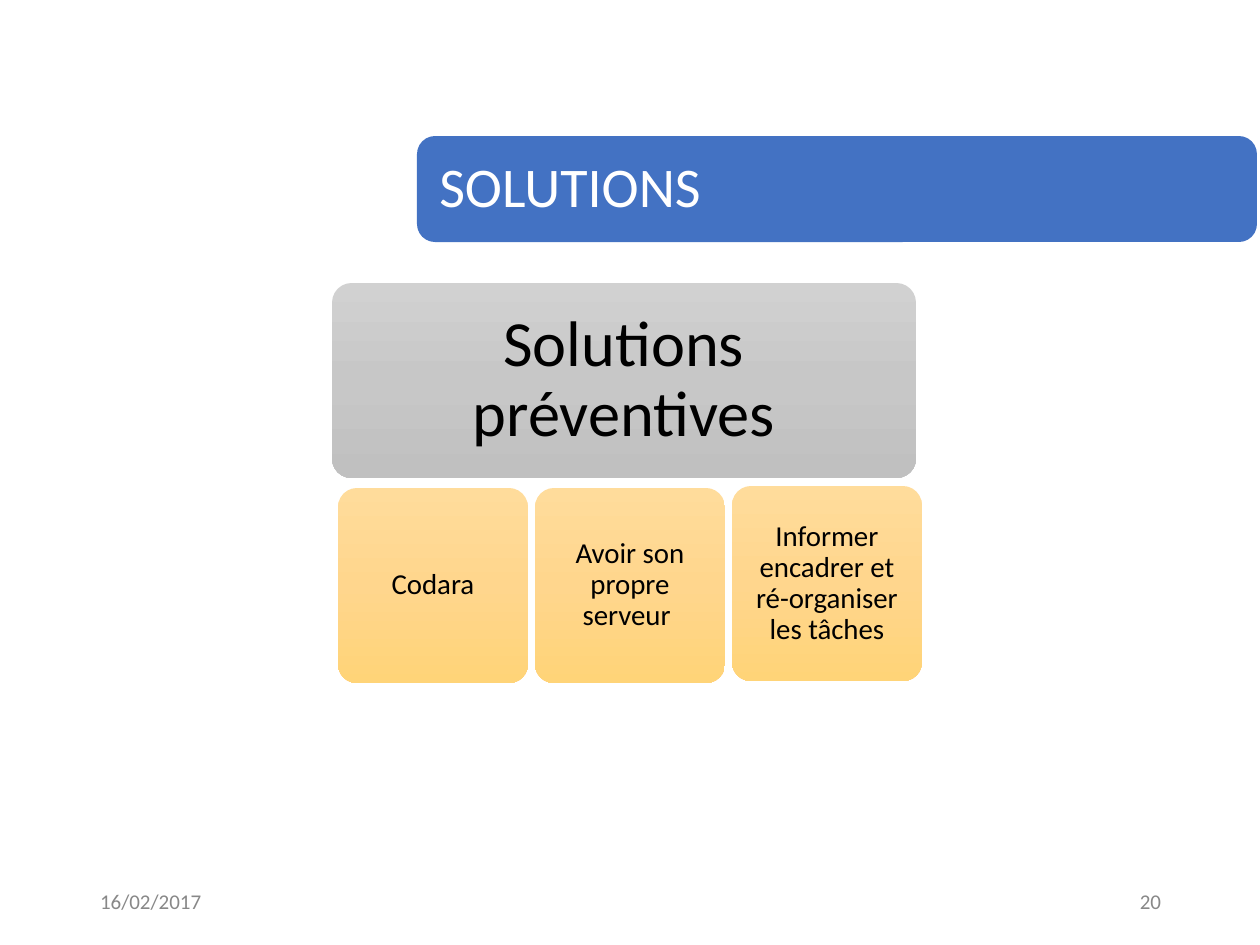
from copy import deepcopy
from dataclasses import dataclass

from pptx import Presentation
from pptx.dml.color import RGBColor
from pptx.enum.shapes import MSO_SHAPE as Shape
from pptx.enum.text import MSO_ANCHOR as Anchor, PP_ALIGN as Align
from pptx.oxml.ns import qn
from pptx.util import Emu, Pt

EMU_PER_PX = 914400 / 126
FONT = "Calibri"
COLORS = {
    "banner": "4372C3",
    "banner_text": "FFFFFF",
    "block_text": "000000",
    "footer_text": "888888",
}
GRAY_GRADIENT = ("D1D1D1", "C7C7C7", "C0C0C0")
AMBER_GRADIENT = ("FFDC9B", "FFD68D", "FFD478")


@dataclass(frozen=True)
class Label:
    text: str
    size: float
    color: str
    align: Align
    inset_x: int
    inset_y: int
    line_spacing: float = 1.0


@dataclass(frozen=True)
class Block:
    left: int
    top: int
    width: int
    height: int
    corner: float
    fill: tuple[str, ...]
    label: Label


def px(length: int) -> Emu:
    return Emu(round(length * EMU_PER_PX))


def write_label(text_frame, label: Label) -> None:
    text_frame.word_wrap = True
    text_frame.vertical_anchor = Anchor.MIDDLE
    text_frame.margin_left = text_frame.margin_right = px(label.inset_x)
    text_frame.margin_top = text_frame.margin_bottom = px(label.inset_y)
    paragraph = text_frame.paragraphs[0]
    paragraph.alignment = label.align
    paragraph.line_spacing = label.line_spacing
    run = paragraph.add_run()
    run.text = label.text
    run.font.name = FONT
    run.font.size = Pt(label.size)
    run.font.color.rgb = RGBColor.from_string(COLORS[label.color])


def fill_gradient(shape, colors: tuple[str, ...]) -> None:
    """Fill from top to bottom with three evenly spaced colours."""
    shape.fill.gradient()
    shape.fill.gradient_angle = 270
    stop_list = next(shape.element.iter(qn("a:gsLst")))
    stop_list.insert(1, deepcopy(stop_list[0]))
    for index, (stop, color) in enumerate(zip(shape.fill.gradient_stops, colors)):
        stop.position = index / (len(colors) - 1)
        stop.color.rgb = RGBColor.from_string(color)


def add_block(slide, block: Block) -> None:
    shape = slide.shapes.add_shape(
        Shape.ROUNDED_RECTANGLE,
        px(block.left), px(block.top), px(block.width), px(block.height),
    )
    shape.adjustments[0] = block.corner
    shape.shadow.inherit = False
    shape.line.fill.background()
    if len(block.fill) == 1:
        shape.fill.solid()
        shape.fill.fore_color.rgb = RGBColor.from_string(block.fill[0])
    else:
        fill_gradient(shape, block.fill)
    write_label(shape.text_frame, block.label)


def add_footer(slide, left: int, text: str, align: Align) -> None:
    box = slide.shapes.add_textbox(px(left), px(876), px(284), px(50))
    write_label(box.text_frame, Label(text, 12, "footer_text", align, 13, 6))


def main() -> None:
    presentation = Presentation()
    presentation.slide_width = px(1260)
    presentation.slide_height = px(945)
    slide = presentation.slides.add_slide(presentation.slide_layouts[6])

    banner_label = Label("SOLUTIONS", 32, "banner_text", Align.LEFT, 17, 17, 0.9)
    add_block(slide, Block(417, 136, 840, 106, 0.17, (COLORS["banner"],), banner_label))

    add_footer(slide, 87, "16/02/2017", Align.LEFT)
    add_footer(slide, 890, "20", Align.RIGHT)

    heading_label = Label(
        "Solutions préventives", 36.8, "block_text", Align.CENTER, 19, 19, 0.9
    )
    add_block(slide, Block(332, 283, 584, 195, 0.1, GRAY_GRADIENT, heading_label))

    measures = (
        ("Codara", 488),
        ("Avoir son propre serveur ", 488),
        ("Informer encadrer et ré-organiser les tâches", 486),
    )
    for column, (text, top) in enumerate(measures):
        label = Label(text, 16.5, "block_text", Align.CENTER, 9, 9, 0.9)
        left = 338 + column * 197
        add_block(slide, Block(left, top, 190, 195, 0.1, AMBER_GRADIENT, label))

    presentation.save("out.pptx")


if __name__ == "__main__":
    main()
